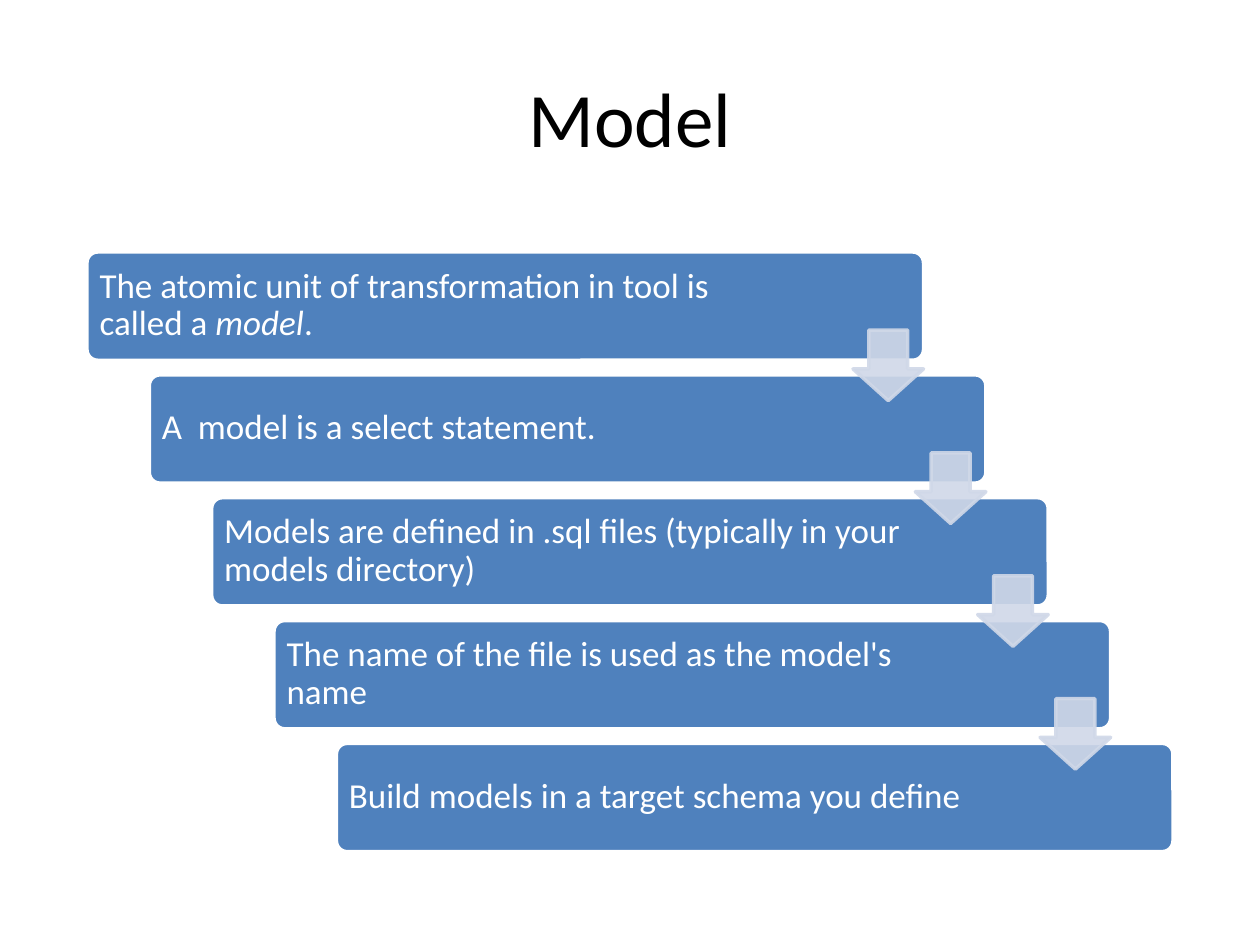
from lxml import etree
from pptx import Presentation
from pptx.dml.color import RGBColor
from pptx.enum.shapes import MSO_SHAPE
from pptx.enum.text import MSO_ANCHOR, PP_ALIGN
from pptx.oxml.ns import qn
from pptx.util import Inches, Pt

ROUNDED = MSO_SHAPE.ROUNDED_RECTANGLE
DOWN_ARROW = MSO_SHAPE.DOWN_ARROW
MIDDLE = MSO_ANCHOR.MIDDLE
LEFT = PP_ALIGN.LEFT
CENTER = PP_ALIGN.CENTER

BLACK = RGBColor(0x00, 0x00, 0x00)
WHITE = RGBColor(0xFF, 0xFF, 0xFF)
BLUE = RGBColor(0x4F, 0x81, 0xBD)
PALE_BLUE = RGBColor(0xD0, 0xD8, 0xE8)

STEPS = [
    [("The atomic unit of transformation in tool is called a ", False),
     ("model", True), (".", False)],
    [("A  model is a select statement.", False)],
    [("Models are defined in .sql files (typically in your models directory)", False)],
    [("The name of the file is used as the model's name", False)],
    [("Build models in a target schema you define", False)],
]
STEP_RIGHT = 1.98 / 4
STEP_DOWN = 3.9 / 4


def set_attributes(target, values):
    for key, value in values.items():
        setattr(target, key, value)


def add_text(slide, box, runs, size, color, frame_format, paragraph_format):
    frame = slide.shapes.add_textbox(*map(Inches, box)).text_frame
    set_attributes(frame, {"word_wrap": True, "vertical_anchor": MIDDLE, **frame_format})
    paragraph = frame.paragraphs[0]
    set_attributes(paragraph, paragraph_format)
    for words, italic in runs:
        run = paragraph.add_run()
        run.text = words
        set_attributes(run.font, {"name": "Calibri", "size": Pt(size), "italic": italic})
        run.font.color.rgb = color


def add_block(slide, kind, box, adjustments, fill, outline):
    block = slide.shapes.add_shape(kind, *map(Inches, box))
    block.shadow.inherit = False
    for index, value in enumerate(adjustments):
        block.adjustments[index] = value
    block.fill.solid()
    block.fill.fore_color.rgb = fill
    block.line.color.rgb = outline
    block.line.width = Pt(2)
    return block


def set_opacity(block, percent):
    for color in block.element.spPr.iter(qn("a:srgbClr")):
        etree.SubElement(color, qn("a:alpha")).set("val", str(percent * 1000))


def add_step(slide, index, runs):
    left = 0.69 + index * STEP_RIGHT
    top = 2 + index * STEP_DOWN
    add_block(slide, ROUNDED, (left, top, 6.64, 0.86), [0.1], BLUE, WHITE)
    text_width = 5.62 if index == 0 else 5.54
    sides = ("left", "right", "top", "bottom")
    add_text(slide, (left + 0.02, top + 0.02, text_width, 0.81), runs, 20, WHITE,
             {f"margin_{side}": Inches(0.08) for side in sides},
             {"alignment": LEFT, "line_spacing": 0.9, "space_after": Pt(7)})


def add_step_arrow(slide, index):
    box = (6.77 + index * STEP_RIGHT, 2.62 + index * STEP_DOWN, 0.56, 0.56)
    arrow = add_block(slide, DOWN_ARROW, box, [0.55, 0.45], PALE_BLUE, PALE_BLUE)
    set_opacity(arrow, 90)


def main():
    deck = Presentation()
    deck.slide_width = Inches(10)
    deck.slide_height = Inches(7.5)
    slide = deck.slides.add_slide(deck.slide_layouts[6])
    add_text(slide, (0.5, 0.3, 9, 1.25), [("Model", False)], 44, BLACK,
             {}, {"alignment": CENTER})
    for index, runs in enumerate(STEPS):
        add_step(slide, index, runs)
    for index in range(len(STEPS) - 1):
        add_step_arrow(slide, index)
    deck.save("out.pptx")


main()
